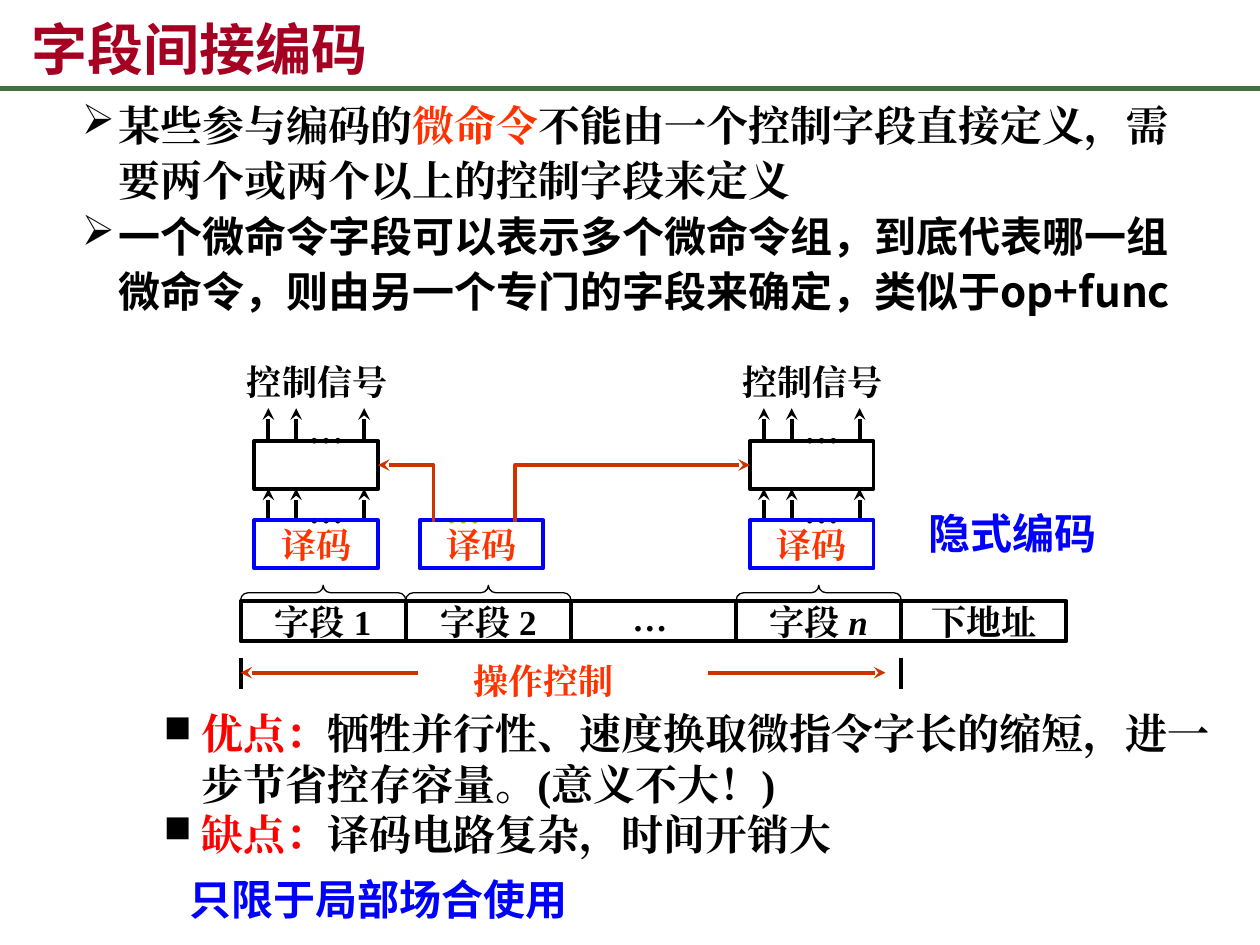
from pptx import Presentation
from pptx.dml.color import RGBColor
from pptx.enum.shapes import MSO_CONNECTOR as Connector, MSO_SHAPE as Shape
from pptx.enum.text import MSO_ANCHOR as Anchor, PP_ALIGN as Align
from pptx.oxml.ns import qn
from pptx.util import Cm, Pt
from lxml.etree import SubElement

BLACK = RGBColor(0x00, 0x00, 0x00)
BLUE = RGBColor(0x00, 0x00, 0xFF)
RED = RGBColor(0xFF, 0x00, 0x00)
ORANGE = RGBColor(0xFF, 0x33, 0x00)
RUST = RGBColor(0xCC, 0x33, 0x00)
LIME = RGBColor(0x99, 0xCC, 0x00)
CRIMSON = RGBColor(0xA5, 0x00, 0x21)
GREEN = RGBColor(0x3F, 0x71, 0x41)
SERIF, SANS, SANS_SC = "Times New Roman", "Noto Sans CJK JP", "Noto Sans CJK SC"

FIELD_WIDTH, FIELD_HEIGHT = 3.33, 0.81
UNIT_WIDTH, UNIT_HEIGHT, UNIT_INSET = 2.49, 0.97, 0.28


def add_run(paragraph, text, size=20, color=BLACK, font=SERIF, italic=None):
    run = paragraph.add_run()
    run.text = text
    run.font.size = Pt(size)
    run.font.bold = True
    run.font.italic = italic
    run.font.name = font
    run.font.color.rgb = color
    SubElement(run.font._element, qn("a:ea")).set("typeface", font)


def add_text(slide, text, left, top, width, height, wrap=False, **format):
    frame = slide.shapes.add_textbox(Cm(left), Cm(top), Cm(width), Cm(height)).text_frame
    frame.word_wrap = wrap
    if text:
        add_run(frame.paragraphs[0], text, **format)
    return frame


def add_bullets(frame, items, bullet, indent, spacing=1.0, percent=100):
    for number, runs in enumerate(items):
        paragraph = frame.paragraphs[0] if number == 0 else frame.add_paragraph()
        paragraph.line_spacing = spacing
        properties = paragraph._p.get_or_add_pPr()
        properties.set("marL", str(Cm(indent)))
        properties.set("indent", str(-Cm(indent)))
        color = SubElement(properties, qn("a:buClr"))
        SubElement(color, qn("a:srgbClr")).set("val", str(BLACK))
        SubElement(properties, qn("a:buSzPct")).set("val", str(percent * 1000))
        SubElement(properties, qn("a:buChar")).set("char", bullet)
        for text, format in runs:
            add_run(paragraph, text, size=24, **format)


def add_arrowhead(line):
    SubElement(line._get_or_add_ln(), qn("a:tailEnd")).set("type", "stealth")


def add_line(slide, x1, y1, x2, y2, color=BLACK, width=2.25, arrow=False):
    line = slide.shapes.add_connector(Connector.STRAIGHT, Cm(x1), Cm(y1), Cm(x2), Cm(y2))
    line.line.color.rgb = color
    line.line.width = Pt(width)
    SubElement(line._element.spPr, qn("a:effectLst"))
    if arrow:
        add_arrowhead(line.line)


def outline(shape, color=BLACK, width=2.25):
    shape.shadow.inherit = False
    shape.fill.background()
    shape.line.color.rgb = color
    shape.line.width = Pt(width)


def add_box(slide, left, top, width, height, runs=(), color=BLACK):
    box = slide.shapes.add_shape(Shape.RECTANGLE, Cm(left), Cm(top), Cm(width), Cm(height))
    outline(box, color)
    frame = box.text_frame
    frame.word_wrap = False
    frame.vertical_anchor = Anchor.MIDDLE
    frame.paragraphs[0].alignment = Align.CENTER
    for text, format in runs:
        add_run(frame.paragraphs[0], text, **format)


def add_brace(slide, left, top, width, height):
    # Turned a quarter, so the unrotated frame shares only its centre
    x, y = left + (width - height) / 2, top + (height - width) / 2
    brace = slide.shapes.add_shape(Shape.LEFT_BRACE, Cm(x), Cm(y), Cm(height), Cm(width))
    brace.rotation = 90
    brace.adjustments[0] = brace.adjustments[1] = 0.5
    outline(brace, width=0.75)


def add_elbow(slide, x, bottom, top, end_x):
    builder = slide.shapes.build_freeform(Cm(x), Cm(bottom))
    builder.add_line_segments([(Cm(x), Cm(top)), (Cm(end_x), Cm(top))], close=False)
    elbow = builder.convert_to_shape()
    outline(elbow, RUST)
    add_arrowhead(elbow.line)


def add_signals(slide, left, base):
    """Three upward arrows and an ellipsis above a unit."""
    for offset in (0.28, 0.84, 2.21):
        add_line(slide, left + offset, base, left + offset, base - 0.64, arrow=True)
    add_text(slide, "…", left + 0.84, base - 0.76, 1.22, 1.12)


def add_decoder(slide, left, top):
    add_box(slide, left, top, UNIT_WIDTH, UNIT_HEIGHT, [("译码", {"color": ORANGE})], BLUE)


def add_decoder_stack(slide, left, top):
    """Label, signal box and decoder of one field, from top to bottom."""
    add_text(slide, "控制信号", left - 0.4, top, 3.38, 1.12)
    add_signals(slide, left, top + 1.73)
    add_box(slide, left, top + 1.75, UNIT_WIDTH, UNIT_HEIGHT)
    add_signals(slide, left, top + 3.35)
    add_decoder(slide, left, top + 3.35)


def add_diagram(slide, left, top):
    # Instruction fields
    fields = [[("字段 1", {})], [("字段 2", {})], [],
              [("字段 ", {}), ("n", {"italic": True})], [("下地址", {})]]
    for number, runs in enumerate(fields):
        add_box(slide, left + number * FIELD_WIDTH, top + 4.98, FIELD_WIDTH, FIELD_HEIGHT, runs)
    add_text(slide, "…", left + 7.65, top + 4.77, 1.22, 1.12)
    for number in (0, 1, 3):
        add_brace(slide, left + number * FIELD_WIDTH, top + 4.66, FIELD_WIDTH, 0.3)

    # Decoders
    first, second, last = (left + number * FIELD_WIDTH + UNIT_INSET for number in (0, 1, 3))
    add_decoder_stack(slide, first, top)
    add_text(slide, "…", second + 0.28, top + 2.59, 1.22, 1.12, color=LIME)
    add_decoder(slide, second, top + 3.35)
    add_decoder_stack(slide, last, top)
    middle = top + 1.75 + UNIT_HEIGHT / 2
    add_elbow(slide, second + 0.28, top + 3.38, middle, first + UNIT_WIDTH)
    add_elbow(slide, second + 1.93, top + 3.38, middle, last)

    # Span of the operation control
    for x in (left, left + 4 * FIELD_WIDTH):
        add_line(slide, x, top + 6.12, x, top + 6.75)
    for start, end in ((3.58, 0), (9.42, 13)):
        add_line(slide, left + start, top + 6.42, left + end, top + 6.42, RUST, arrow=True)
    add_text(slide, "操作控制", left + 4.45, top + 6.04, 3.35, 1.12, color=ORANGE)


def add_header(slide, left, top, width, height):
    title = slide.shapes.title
    title.left, title.top, title.width, title.height = Cm(left), Cm(top), Cm(width), Cm(height)
    title.text_frame.vertical_anchor = Anchor.BOTTOM
    paragraph = title.text_frame.paragraphs[0]
    paragraph.alignment = Align.LEFT
    add_run(paragraph, "字段间接编码", size=32, color=CRIMSON, font=SANS_SC)
    add_line(slide, 0, top + height, 25.4, top + height, GREEN, 3)


def add_definition(slide, left, top, width, height):
    frame = add_text(slide, "", left, top, width, height, wrap=True)
    add_bullets(frame, [
        [("某些参与编码的", {}), ("微命令", {"color": ORANGE}),
         ("不能由一个控制字段直接定义，需要两个或两个以上的控制字段来定义", {})],
        [("一个微命令字段可以表示多个微命令组，到底代表哪一组微命令，"
          "则由另一个专门的字段来确定，类似于op+func", {"font": SANS})],
    ], "➢", 0.74, spacing=1.1)


def add_evaluation(slide, left, top, width, height):
    frame = add_text(slide, "", left, top, width, height, wrap=True)
    frame.margin_left = frame.margin_top = frame.margin_right = frame.margin_bottom = 0
    add_bullets(frame, [
        [("优点：", {"color": RED}),
         ("牺牲并行性、速度换取微指令字长的缩短，进一步节省控存容量。(意义不大！)", {})],
        [("缺点：", {"color": RED}), ("译码电路复杂，时间开销大", {})],
    ], "■", 0.76, percent=90)


def main():
    presentation = Presentation()
    presentation.slide_width, presentation.slide_height = Cm(25.4), Cm(19.05)
    slide = presentation.slides.add_slide(presentation.slide_layouts[5])
    add_header(slide, 0.38, 0.15, 14, 1.63)
    add_definition(slide, 1.4, 1.78, 23.22, 5.84)
    add_diagram(slide, 4.85, 7.14)
    add_evaluation(slide, 3.3, 14.27, 21.41, 3.07)
    for text, left, top, width in (("只限于局部场合使用", 3.58, 17.48, 8.2),
                                   ("隐式编码", 18.47, 10.11, 3.94)):
        add_text(slide, text, left, top, width, 1.3, size=24, color=BLUE, font=SANS)
    presentation.save("out.pptx")


if __name__ == "__main__":
    main()
